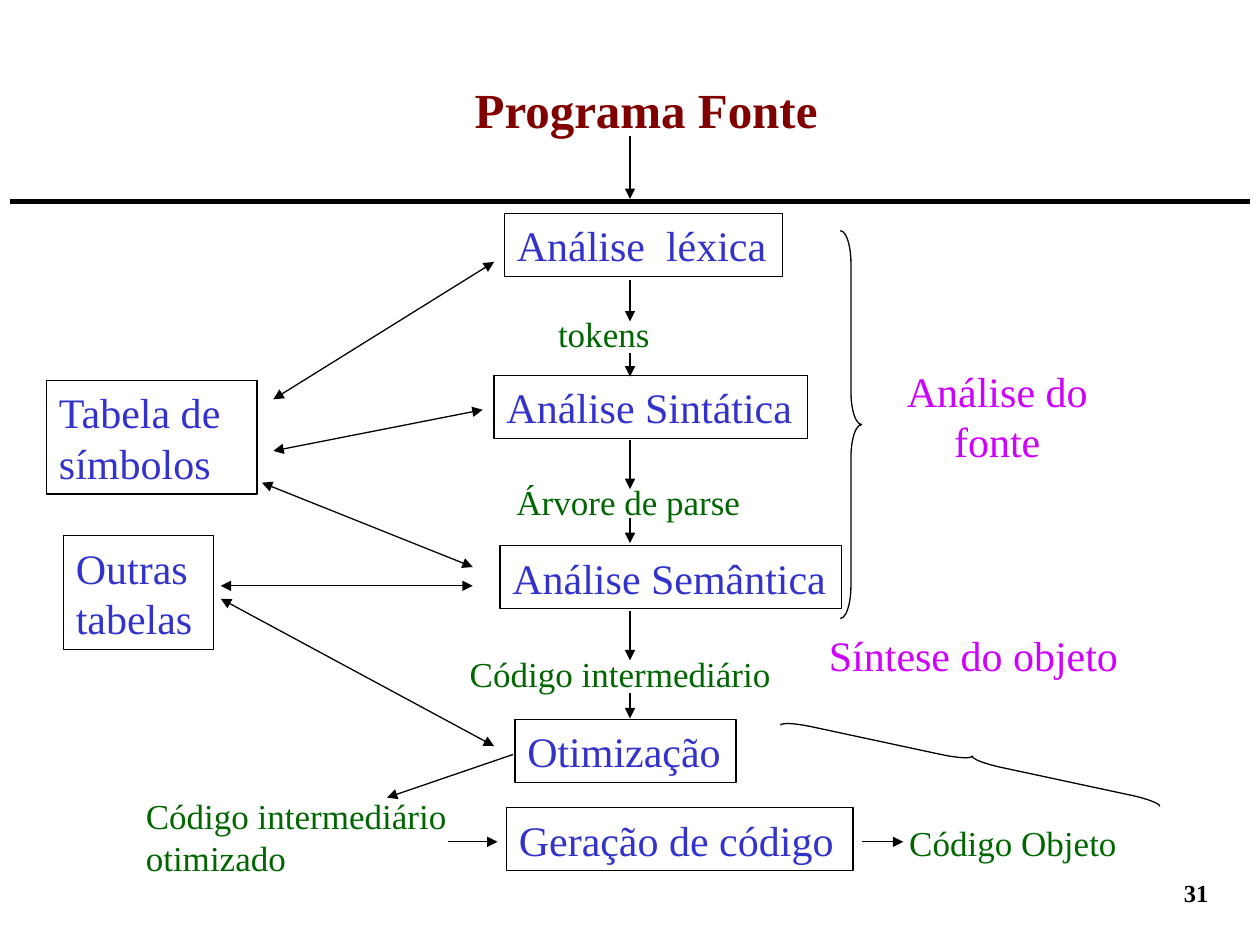
from lxml.etree import SubElement
from pptx import Presentation
from pptx.dml.color import RGBColor as Rgb
from pptx.enum.shapes import MSO_CONNECTOR as Connector, MSO_SHAPE as Shape
from pptx.enum.text import MSO_AUTO_SIZE as AutoSize, MSO_ANCHOR as Anchor, PP_ALIGN as Align
from pptx.oxml.ns import qn
from pptx.util import Cm, Pt

COLORS = {
    "black": "000000",
    "title": "800000",
    "stage": "3333CC",
    "product": "006600",
    "phase": "CE00FE",
}
FONT = "Times New Roman"


def color(name):
    return Rgb.from_string(COLORS[name])


def write(box, text, size=24, ink="stage", bold=False, align=Align.LEFT, inset=True):
    frame = box.text_frame
    frame.word_wrap = True
    frame.auto_size = AutoSize.NONE
    frame.vertical_anchor = Anchor.TOP
    side, edge = (0.25, 0.13) if inset else (0, 0)
    frame.margin_left = frame.margin_right = Cm(side)
    frame.margin_top = frame.margin_bottom = Cm(edge)
    para = frame.paragraphs[0]
    para.text = text
    para.alignment = align
    for span in para.runs:
        span.font.name = FONT
        span.font.size = Pt(size)
        span.font.bold = bold
        span.font.color.rgb = color(ink)


class Diagram:
    def __init__(self, page, thin=0.75):
        self.page = page
        self.thin = thin

    def outline(self, kind, place):
        shape = self.page.shapes.add_shape(kind, *map(Cm, place))
        shape.shadow.inherit = False
        shape.fill.background()
        shape.line.color.rgb = color("black")
        shape.line.width = Pt(self.thin)
        return shape

    def stage(self, text, *place):
        write(self.outline(Shape.RECTANGLE, place), text)

    def label(self, text, *place, **style):
        box = self.page.shapes.add_textbox(*map(Cm, place))
        write(box, text, **style)

    def brace(self, *place, curve, rotation=0):
        shape = self.outline(Shape.RIGHT_BRACE, place)
        shape.adjustments[0] = curve
        shape.rotation = rotation

    def line(self, *ends, width=None, heads=()):
        link = self.page.shapes.add_connector(Connector.STRAIGHT, *map(Cm, ends))
        link.line.color.rgb = color("black")
        link.line.width = Pt(width or self.thin)
        properties = link._element.spPr
        stroke = properties.find(qn("a:ln"))
        for head in heads:
            SubElement(stroke, qn(f"a:{head}"), type="triangle")
        SubElement(properties, qn("a:effectLst"))

    def arrow(self, *ends):
        self.line(*ends, heads=("tailEnd",))

    def exchange(self, *ends):
        self.line(*ends, heads=("headEnd", "tailEnd"))


def main():
    deck = Presentation()
    deck.slide_width, deck.slide_height = Cm(25.4), Cm(19.05)
    page = deck.slides.add_slide(deck.slide_layouts[6])
    diagram = Diagram(page)

    diagram.line(0.2, 4.06, 25.2, 4.06, width=3)
    diagram.label("31", 22.86, 17.58, 1.75, 1.27, size=14, ink="black",
                  bold=True, align=Align.RIGHT)
    diagram.label("Programa Fonte", 9.32, 1.47, 7.65, 1.45, size=28, ink="title", bold=True)

    for text, left, top, width, height in (
        ("Análise  léxica", 10.17, 4.3, 5.6, 1.27),
        ("Análise Sintática", 9.96, 7.57, 6.32, 1.27),
        ("Análise Semântica", 10.08, 11, 6.88, 1.27),
        ("Otimização", 10.38, 14.5, 4.46, 1.27),
        ("Geração de código", 10.21, 16.28, 6.99, 1.27),
        ("Tabela de símbolos", 0.94, 7.67, 4.24, 2.29),
        ("Outras \vtabelas", 1.28, 10.8, 3.02, 2.29),
    ):
        diagram.stage(text, left, top, width, height)

    for text, left, top, width, height in (
        ("tokens", 11, 6.17, 2.5, 1.12),
        ("Árvore de parse", 10.16, 9.55, 5.2, 1.12),
        ("Código intermediário", 9.22, 13.03, 6.75, 1.12),
        ("Código intermediário\votimizado", 2.69, 15.88, 6.75, 1.96),
        ("Código Objeto", 18.08, 16.43, 4.85, 1.12),
    ):
        diagram.label(text, left, top, width, height, size=20, ink="product")

    for start, end in (
        (2.74, 4.01), (5.64, 6.48), (7.11, 7.59), (8.86, 9.86),
        (10.44, 10.95), (12.32, 13.31), (13.97, 14.48),
    ):
        diagram.arrow(12.7, start, 12.7, end)
    for start, end in ((9.04, 10.03), (17.37, 18.21)):
        diagram.arrow(start, 16.97, end, 16.97)
    diagram.arrow(10.34, 15.21, 7.8, 16.08)

    for ends in (
        (5.51, 8.05, 9.96, 5.28),
        (5.51, 9.09, 9.73, 8.26),
        (5.28, 9.73, 9.53, 11.43),
        (4.45, 11.81, 9.53, 11.81),
        (4.45, 12.07, 9.96, 15.04),
    ):
        diagram.exchange(*ends)

    diagram.brace(16.94, 4.65, 0.43, 7.82, curve=1.54)
    diagram.label("Análise do fonte", 17.35, 7.24, 5.51, 2.29, ink="phase",
                  align=Align.CENTER)
    diagram.brace(19.48, 11.43, 0.2, 7.82, curve=3.1, rotation=282.1)
    diagram.label("Síntese do objeto", 16.71, 12.7, 6.35, 1.02, ink="phase", inset=False)

    deck.save("out.pptx")


if __name__ == "__main__":
    main()
